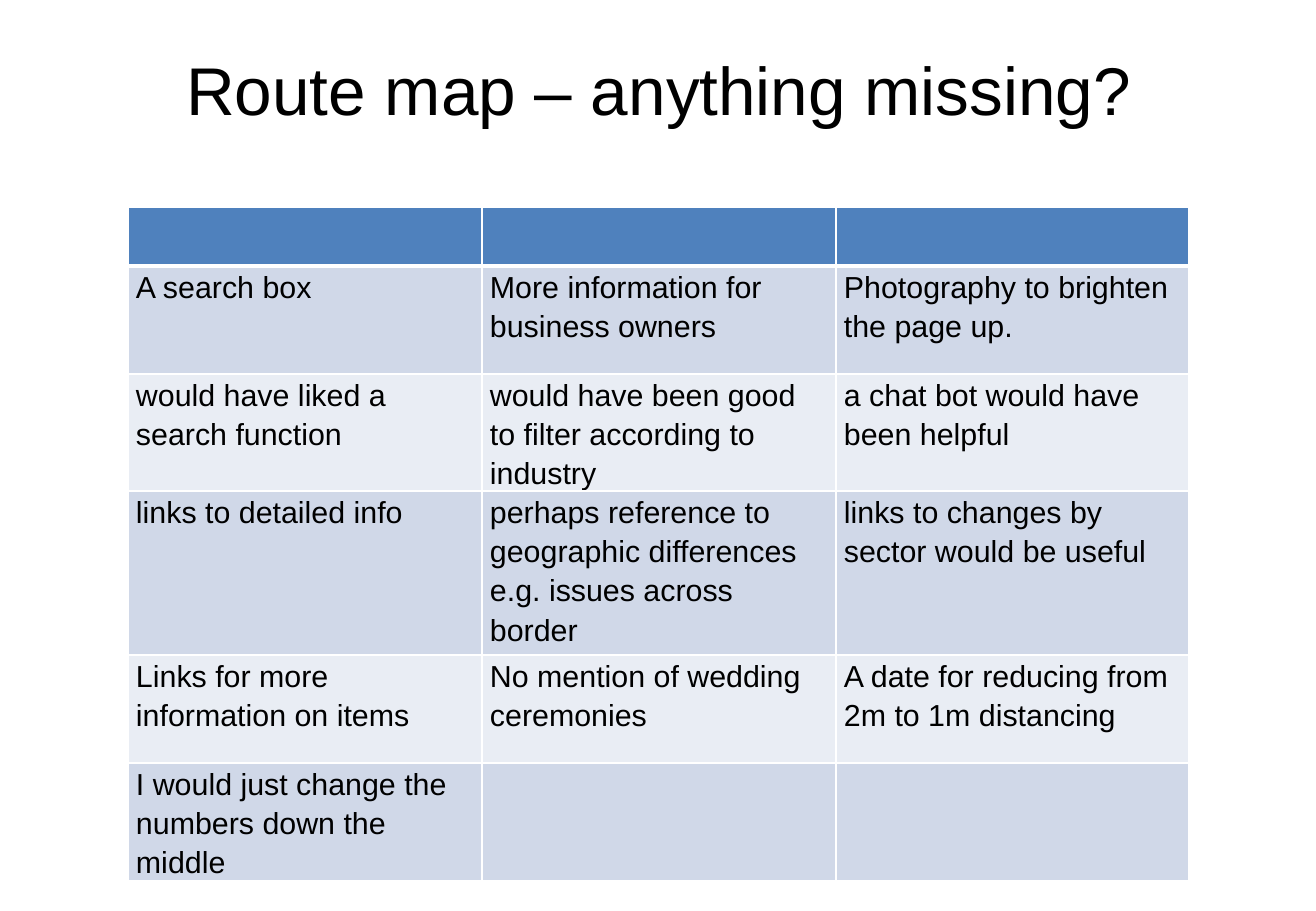
from lxml import etree
from pptx import Presentation
from pptx import util as u
from pptx.dml.color import RGBColor
from pptx.enum import text
from pptx.oxml.ns import qn

PX = 7526  # EMU in one px
COLORS = {
    "ink": "000000",
    "border": "FFFFFF",
    "header": "4F81BD",
    "odd": "D0D8E8",
    "even": "E9EDF4",
}
COLUMN_WIDTHS = [354, 354, 353]
ROW_HEIGHTS = [59, 108, 117, 164, 108, 117]
SUGGESTIONS = [
    ["", "", ""],
    ["A search box",
     "More information for business owners",
     "Photography to brighten the page up."],
    ["would have liked a search function",
     "would have been good to filter according to industry",
     "a chat bot would have been helpful"],
    ["links to detailed info",
     "perhaps reference to geographic differences e.g. issues across border",
     "links to changes by sector would be useful"],
    ["Links for more information on items",
     "No mention of wedding ceremonies",
     "A date for reducing from 2m to 1m distancing"],
    ["I would just change the numbers down the middle", "", ""],
]


def px(length):
    return u.Emu(length * PX)


def write(frame, words, size=18, align=text.PP_ALIGN.LEFT, spacing=1.0):
    paragraph = frame.paragraphs[0]
    paragraph.alignment = align
    paragraph.line_spacing = spacing
    paragraph.font.size = u.Pt(size)
    if words:
        run = paragraph.add_run()
        run.text = words
        run.font.size = u.Pt(size)
        run.font.name = "Arial"
        run.font.color.rgb = RGBColor.from_string(COLORS["ink"])


def add_title(slide, words):
    title = slide.shapes.title
    title.left, title.top, title.width, title.height = map(px, (66, 36, 1185, 152))
    frame = title.text_frame
    frame.word_wrap = True
    frame.auto_size = text.MSO_AUTO_SIZE.NONE
    frame.vertical_anchor = text.MSO_ANCHOR.TOP
    frame.margin_top = px(12)
    write(frame, words, size=40, align=text.PP_ALIGN.CENTER)


def set_borders(cell, top=1, bottom=1):
    """Draw the four cell borders; must run before the cell gets its fill."""
    properties = cell._tc.get_or_add_tcPr()
    for side, points in (("L", 1), ("R", 1), ("T", top), ("B", bottom)):
        line = etree.SubElement(properties, qn(f"a:ln{side}"), w=str(u.Pt(points)))
        fill = etree.SubElement(line, qn("a:solidFill"))
        etree.SubElement(fill, qn("a:srgbClr"), val=COLORS["border"])


def format_cell(cell, row, words):
    cell.margin_left = cell.margin_right = px(8)
    cell.margin_top = cell.margin_bottom = 0
    cell.vertical_anchor = text.MSO_ANCHOR.TOP
    set_borders(cell, top=3 if row == 1 else 1, bottom=3 if row == 0 else 1)
    band = "header" if row == 0 else "odd" if row % 2 else "even"
    cell.fill.solid()
    cell.fill.fore_color.rgb = RGBColor.from_string(COLORS[band])
    write(cell.text_frame, words, spacing=1.15)


def add_suggestions(slide):
    table = slide.shapes.add_table(
        len(ROW_HEIGHTS), len(COLUMN_WIDTHS), px(128), px(207),
        px(sum(COLUMN_WIDTHS)), px(sum(ROW_HEIGHTS))).table
    for column, width in zip(table.columns, COLUMN_WIDTHS):
        column.width = px(width)
    for row, height in enumerate(ROW_HEIGHTS):
        table.rows[row].height = px(height)
        for column, words in enumerate(SUGGESTIONS[row]):
            format_cell(table.cell(row, column), row, words)


def main():
    deck = Presentation()
    deck.slide_width, deck.slide_height = px(1316), px(911)
    slide = deck.slides.add_slide(deck.slide_layouts[5])
    add_title(slide, "Route map – anything missing?")
    add_suggestions(slide)
    deck.save("out.pptx")


if __name__ == "__main__":
    main()
